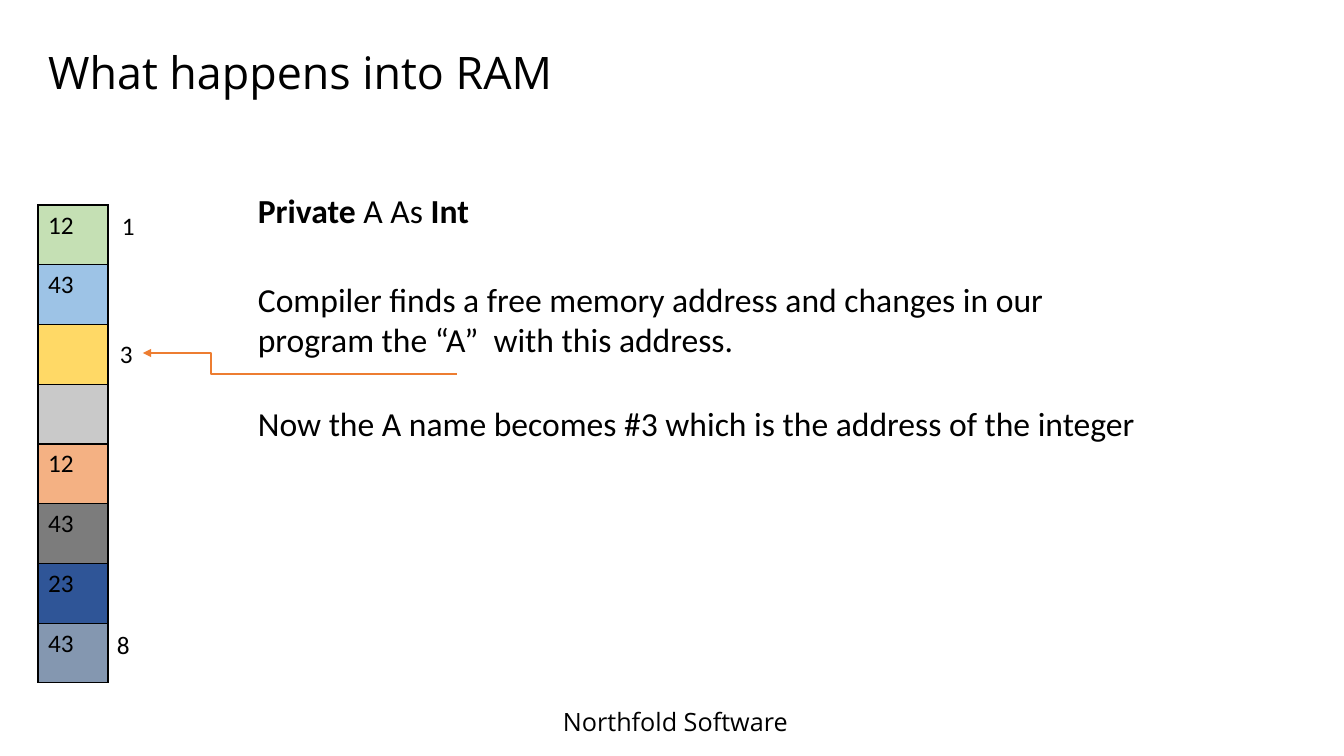
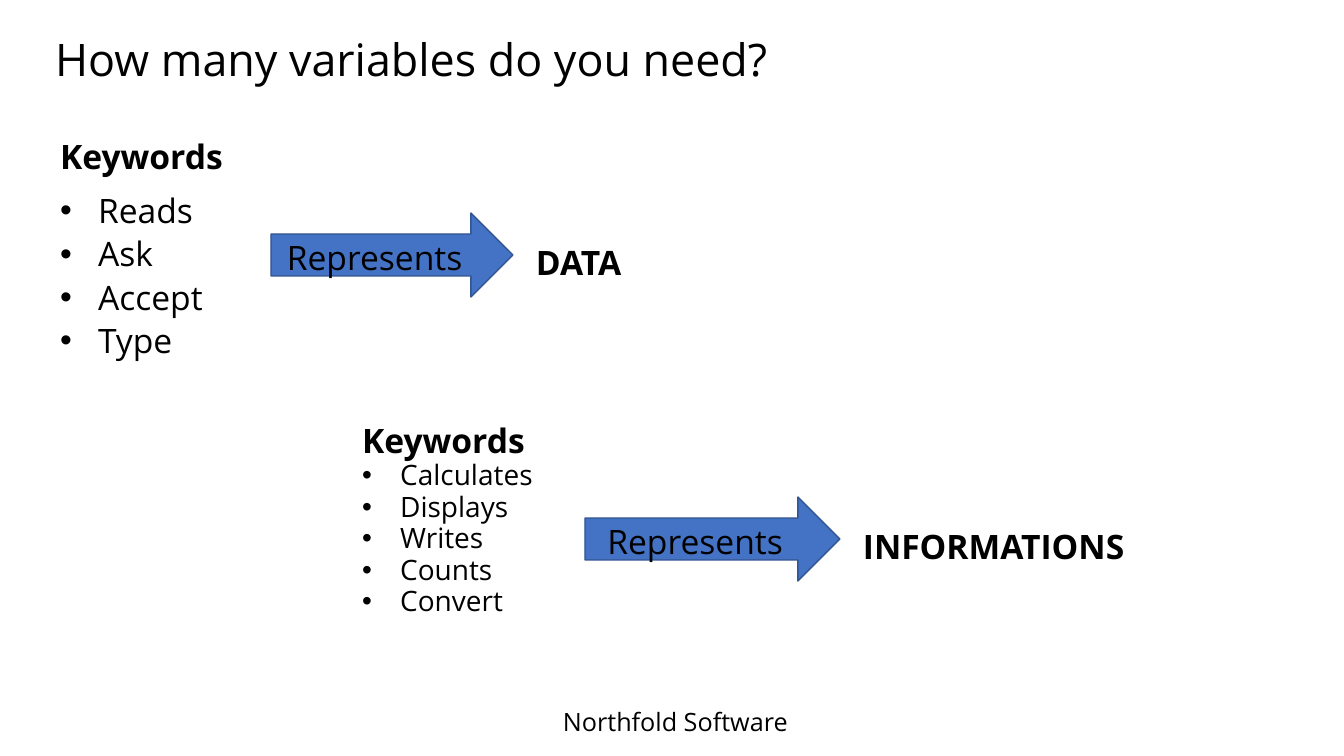
from lxml import etree
from pptx import Presentation
from pptx import util as u
from pptx.dml.color import RGBColor
from pptx.enum import shapes, text
from pptx.oxml.ns import qn

SCALE = 12192000 / 1344  # EMU in one px
SANS, BODY = "Open Sans", "Calibri"
BLACK, BLUE, NAVY, ORANGE = "000000", "4472C4", "325491", "ED7D31"
LEFT, CENTER, JUSTIFY = text.PP_ALIGN.LEFT, text.PP_ALIGN.CENTER, text.PP_ALIGN.JUSTIFY
rgb = RGBColor.from_string


def px(*lengths):
    return [u.Emu(round(v * SCALE)) for v in lengths]


def write(tf, txt, size=18, font=SANS, color=BLACK, align=LEFT, spacing=1.0,
          after=0, bullet=False, wrap=True):
    """Add one paragraph; parts between ** are bold."""
    tf.word_wrap = wrap
    tf.auto_size = text.MSO_AUTO_SIZE.NONE
    p = tf.add_paragraph() if tf.text else tf.paragraphs[0]
    p.alignment, p.line_spacing = align, spacing
    p.space_before, p.space_after = u.Pt(0), u.Pt(after)
    pPr = p._p.get_or_add_pPr()
    indent = px(38)[0] if bullet else 0
    pPr.set("marL", str(indent))
    pPr.set("indent", str(-indent))
    if bullet:
        etree.SubElement(pPr, qn("a:buChar"), char="•")
    else:
        etree.SubElement(pPr, qn("a:buNone"))
    for i, part in enumerate(txt.split("**")):
        if part:
            r = p.add_run()
            r.text = part
            r.font.name, r.font.size, r.font.bold = font, u.Pt(size), i % 2 == 1
            r.font.color.rgb = rgb(color)


prs = Presentation()
prs.slide_width, prs.slide_height = px(1344, 756)

# Slides and titles
slides = []
for layout, title, box in [
    (5, "What happens into RAM", (38, 27, 1159, 96)),
    (3, "How many variables do you need?", (45, 15, 1207, 94)),
]:
    s = prs.slides.add_slide(prs.slide_layouts[layout])
    sp = s.shapes.title
    sp.left, sp.top, sp.width, sp.height = px(*box)
    sp.text_frame.vertical_anchor = text.MSO_ANCHOR.MIDDLE
    write(sp.text_frame, title, size=32, spacing=0.9)
    slides.append(s)
ram, keywords = slides

# Footer, moved to the master so that every slide shows it
footer = ram.shapes.add_textbox(*px(553, 701, 292, 40))
write(footer.text_frame, "Northfold Software")
footer.element.xpath(".//p:cNvPr")[0].set("id", "20")
prs.slide_master.shapes.element.append(footer.element)

# Slide 1: memory cells
cells = [("12", "C5E0B4"), ("43", "9DC3E6"), ("", "FFD966"), ("", "C9C9C9"),
         ("12", "F4B183"), ("43", "7C7C7C"), ("23", "2F5597"), ("43", "8497B0")]
tbl = ram.shapes.add_table(len(cells), 1, *px(38, 205, 70, 478)).table
tbl.first_row = tbl.horz_banding = False
for row, (value, color) in enumerate(cells):
    cell = tbl.cell(row, 0)
    write(cell.text_frame, value, font=BODY)
    tcPr = cell._tc.get_or_add_tcPr()
    for side in ("lnL", "lnR", "lnT", "lnB"):
        ln = etree.SubElement(tcPr, qn("a:" + side), w=str(u.Pt(1)))
        fill = etree.SubElement(ln, qn("a:solidFill"))
        etree.SubElement(fill, qn("a:srgbClr"), val=BLACK)
    cell.fill.solid()
    cell.fill.fore_color.rgb = rgb(color)

# Slide 1: addresses
for address, x, y in [("1", 112, 205), ("8", 107, 624), ("3", 110, 333)]:
    tf = ram.shapes.add_textbox(*px(x, y, 33, 40)).text_frame
    write(tf, address, font=BODY, wrap=False)

# Slide 1: explanation
for txt, y, w, h in [
    ("**Private** A As **Int**", 185, 299, 50),
    ("Compiler finds a free memory address and changes in our program "
     "the “A”  with this address.", 274, 878, 92),
    ("Now the A name becomes #3 which is the address of the integer", 398, 934, 50),
]:
    write(ram.shapes.add_textbox(*px(248, y, w, h)).text_frame, txt, size=24, font=BODY)

# Slide 1: arrow to address 3
cxn = ram.shapes.add_connector(shapes.MSO_CONNECTOR.ELBOW, *px(457, 374, 143, 353))
cxn.line.color.rgb = rgb(ORANGE)
cxn.line.width = u.Pt(1.5)
etree.SubElement(cxn.line._get_or_add_ln(), qn("a:tailEnd"), type="triangle")
etree.SubElement(cxn.element.spPr, qn("a:effectLst"))
avLst = cxn.element.xpath(".//a:avLst")[0]
etree.SubElement(avLst, qn("a:gd"), name="adj1", fmla="val 78400")

# Slide 2: keyword lists
for idx, box, words, size, spacing, align, after in [
    (1, (50, 128, 255, 262), ["Reads", "Ask", "Accept", "Type"], 24, 1.07, LEFT, 8),
    (2, (352, 412, 268, 286), ["Calculates", "Displays", "Writes", "Counts", "Convert"],
     20, 0.945, JUSTIFY, 0),
]:
    sp = keywords.placeholders[idx]
    sp.left, sp.top, sp.width, sp.height = px(*box)
    write(sp.text_frame, "**Keywords**", size=24, spacing=1.07, align=align, after=after)
    for word in words:
        write(sp.text_frame, word, size=size, spacing=spacing, align=align, bullet=True)

# Slide 2: arrows with their caption and result
for result, x, y, w, result_w in [
    ("DATA", 271, 213, 242, 146),
    ("INFORMATIONS", 585, 497, 255, 330),
]:
    grp = keywords.shapes.add_group_shape()
    arrow = grp.shapes.add_shape(shapes.MSO_SHAPE.RIGHT_ARROW, *px(x, y, w, 84))
    arrow.shadow.inherit = False
    arrow.fill.solid()
    arrow.fill.fore_color.rgb = rgb(BLUE)
    arrow.line.color.rgb = rgb(NAVY)
    arrow.line.width = u.Pt(1)
    for txt, left, top, width, align in [
        (f"**{result}**", x + w + 13, y + 21, result_w, JUSTIFY),
        ("Represents ", x - 13, y + 16, w, CENTER),
    ]:
        tf = grp.shapes.add_textbox(*px(left, top, width, 49)).text_frame
        write(tf, txt, size=24, spacing=1.07, align=align, after=8)

prs.save("out.pptx")
